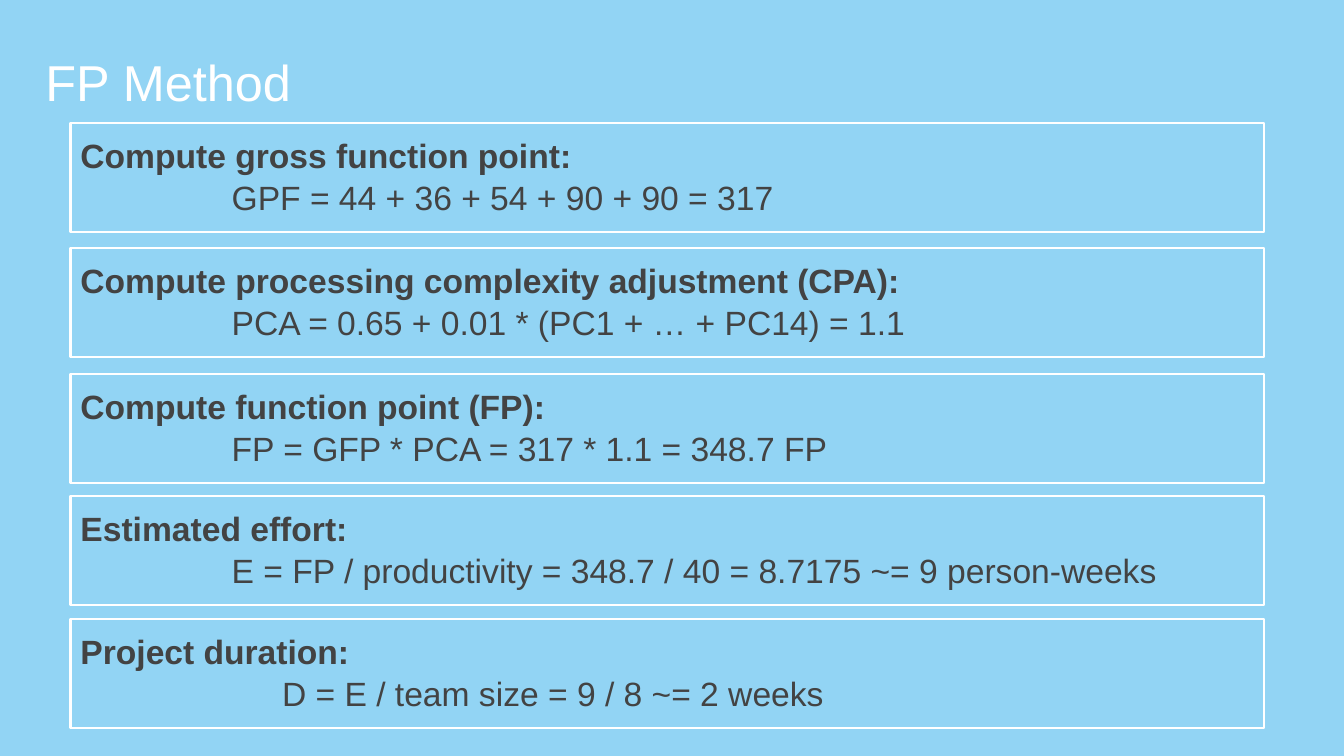
from pptx import Presentation
from pptx import util as u
from pptx.dml.color import RGBColor
from pptx.enum import shapes, text

WIDTH, HEIGHT = 13.33, 7.5
COLORS = {"sky": "92D4F4", "white": "FFFFFF", "ink": "434343"}
INSET = 0.1
STEP_LEFT, STEP_WIDTH, STEP_HEIGHT = 0.7, 11.84, 1.08

# Top, heading, formula and formula indent of each step
STEPS = [
    (1.22, "Compute gross function point:",
     "GPF = 44 + 36 + 54 + 90 + 90 = 317", 1.5),
    (2.46, "Compute processing complexity adjustment (CPA):",
     "PCA = 0.65 + 0.01 * (PC1 + … + PC14) = 1.1", 1.5),
    (3.71, "Compute function point (FP):",
     "FP = GFP * PCA = 317 * 1.1 = 348.7 FP", 1.5),
    (4.92, "Estimated effort:",
     "E = FP / productivity = 348.7 / 40 = 8.7175 ~= 9 person-weeks", 1.5),
    (6.14, "Project duration:",
     "D = E / team size = 9 / 8 ~= 2 weeks", 2),
]


def color(name):
    return RGBColor.from_string(COLORS[name])


def set_frame(frame, anchor):
    settings = {"word_wrap": True, "auto_size": text.MSO_AUTO_SIZE.NONE,
                "vertical_anchor": anchor}
    settings.update({f"margin_{side}": u.Inches(INSET)
                     for side in ("left", "top", "right", "bottom")})
    for name, value in settings.items():
        setattr(frame, name, value)


def write(paragraph, words, size, ink, bold=False, indent=0):
    paragraph.alignment = text.PP_ALIGN.LEFT
    paragraph.line_spacing = 1.05
    paragraph.space_before = u.Pt(0)
    properties = paragraph._p.get_or_add_pPr()
    properties.set("marL", str(u.Inches(indent)))
    properties.set("indent", "0")
    run = paragraph.add_run()
    run.text = words
    run.font.color.rgb = color(ink)
    for name, value in {"name": "Arial", "size": u.Pt(size), "bold": bold}.items():
        setattr(run.font, name, value)


def add_title(slide, box, words):
    title = slide.shapes.title
    for name, value in zip(("left", "top", "width", "height"), box):
        setattr(title, name, u.Inches(value))
    set_frame(title.text_frame, text.MSO_ANCHOR.BOTTOM)
    write(title.text_frame.paragraphs[0], words, 36, "white")


def add_step(slide, box, heading, formula, indent):
    step = slide.shapes.add_shape(shapes.MSO_SHAPE.RECTANGLE, *map(u.Inches, box))
    step.shadow.inherit = False
    step.fill.background()
    step.line.color.rgb = color("white")
    step.line.width = u.Pt(1.5)
    frame = step.text_frame
    set_frame(frame, text.MSO_ANCHOR.TOP)
    write(frame.paragraphs[0], heading, 24, "ink", bold=True)
    write(frame.add_paragraph(), formula, 24, "ink", indent=indent)


def main():
    deck = Presentation()
    deck.slide_width, deck.slide_height = u.Inches(WIDTH), u.Inches(HEIGHT)
    slide = deck.slides.add_slide(deck.slide_layouts.get_by_name("Title Only"))

    # Background
    slide.background.fill.solid()
    slide.background.fill.fore_color.rgb = color("sky")

    # Title and calculation steps
    add_title(slide, (0.35, 0.41, 3.91, 0.8), "FP Method")
    for top, heading, formula, indent in STEPS:
        add_step(slide, (STEP_LEFT, top, STEP_WIDTH, STEP_HEIGHT),
                 heading, formula, indent)

    deck.save("out.pptx")


if __name__ == "__main__":
    main()
